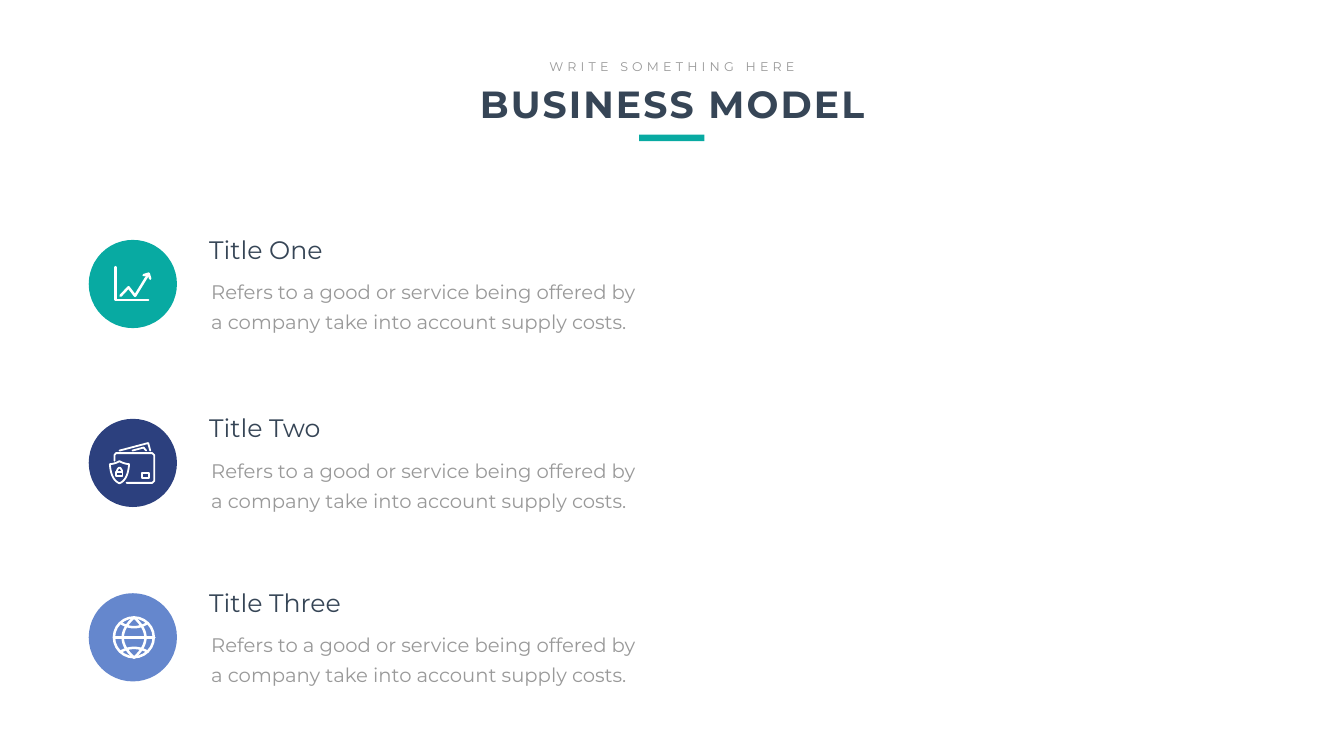
"""Build the Business Model slide: a heading and three topics with icons."""
from dataclasses import dataclass
from typing import Optional

from lxml import etree
from pptx import Presentation
from pptx.dml.color import RGBColor
from pptx.enum import shapes, text
from pptx.oxml import ns
from pptx.util import Inches, Pt

TEAL = RGBColor(0x08, 0xAA, 0xA2)
NAVY = RGBColor(0x2C, 0x40, 0x7E)
BLUE = RGBColor(0x65, 0x87, 0xCD)
SLATE = RGBColor(0x36, 0x45, 0x56)
GREY = RGBColor(0x99, 0x99, 0x99)
WHITE = RGBColor(0xFF, 0xFF, 0xFF)
FONT = "Montserrat"
BODY = "Refers to a good or service being offered by a company take into account supply costs."
CIRCLE_LEFT, CIRCLE_SIZE = 1.76, 1.75

Point = tuple[float, float]


@dataclass
class Stroke:
    points: list[Point]
    closed: bool = False


@dataclass
class Icon:
    weight: float
    strokes: list[Stroke]
    ring: Optional[tuple[float, float, float]] = None


@dataclass
class Topic:
    title: str
    top: float
    color: RGBColor
    icon: Icon


def curve(start: Point, control: Point, end: Point, steps: int = 16) -> list[Point]:
    """Return points along a quadratic curve."""
    ts = [i / steps for i in range(steps + 1)]
    return [
        tuple((1 - t) ** 2 * a + 2 * t * (1 - t) * b + t * t * c
              for a, b, c in zip(start, control, end))
        for t in ts
    ]


def box(left: float, top: float, right: float, bottom: float) -> Stroke:
    """Return a closed rectangular stroke."""
    return Stroke([(left, top), (right, top), (right, bottom), (left, bottom)], True)


CHART = Icon(3.6, [
    Stroke([(0.53, 0.54), (0.53, 1.19), (1.18, 1.19)]),
    Stroke([(0.63, 1.11), (0.79, 0.94), (0.92, 1.11), (1.19, 0.67)]),
    Stroke([(1.09, 0.70), (1.19, 0.67), (1.22, 0.77)]),
])
SHIELD = Stroke(
    curve((0.61, 0.84), (0.69, 0.89), (0.80, 0.90))
    + curve((0.80, 0.90), (0.78, 1.21), (0.61, 1.28))
    + curve((0.61, 1.28), (0.44, 1.21), (0.42, 0.90))
    + curve((0.42, 0.90), (0.53, 0.89), (0.61, 0.84)), True)
SHACKLE = Stroke([(0.56, 1.06), *curve((0.56, 1.03), (0.61, 0.91), (0.66, 1.03)), (0.66, 1.06)])
WALLET = Icon(2.6, [
    Stroke([(0.51, 0.83), (0.51, 0.72), (0.54, 0.68), (1.26, 0.68),
            (1.30, 0.72), (1.30, 1.23), (1.26, 1.27), (0.75, 1.27)]),
    Stroke([(0.61, 0.63), (1.18, 0.48), (1.22, 0.63)]),
    Stroke([(0.87, 0.63), (1.09, 0.57), (1.12, 0.61), (1.14, 0.63)]),
    box(1.05, 1.07, 1.20, 1.17),
    SHIELD,
    box(0.54, 1.06, 0.67, 1.14),
    SHACKLE,
])
GLOBE = Icon(3.6, [
    Stroke([(0.51, 0.88), (1.30, 0.88)]),
    *(Stroke(curve((0.90, 0.48), (x, 0.88), (0.90, 1.28))) for x in (0.45, 1.35)),
    *(Stroke(curve((0.63, y), (0.90, bend), (1.17, y)))
      for y, bend in ((0.59, 0.76), (1.16, 1.01))),
], ring=(0.50, 0.48, 0.79))

TOPICS = [
    Topic("Title One", 4.76, TEAL, CHART),
    Topic("Title Two", 8.31, NAVY, WALLET),
    Topic("Title Three", 11.77, BLUE, GLOBE),
]


def place(s, left: float, top: float, width: float, height: float) -> None:
    """Set position and size in inches."""
    s.left, s.top, s.width, s.height = map(Inches, (left, top, width, height))


def write(s, words: str, size: float, color: RGBColor, spacing: int = 0,
          align=text.PP_ALIGN.LEFT, bold: bool = False, wrap: bool = True,
          insets: Point = (0.1, 0.05), leading: Optional[float] = None) -> None:
    """Fill a shape with one formatted paragraph."""
    tf = s.text_frame
    x, y = map(Inches, insets)
    frame = {"word_wrap": wrap, "auto_size": text.MSO_AUTO_SIZE.NONE,
             "vertical_anchor": text.MSO_ANCHOR.TOP,
             "margin_left": x, "margin_right": x, "margin_top": y, "margin_bottom": y}
    for name, value in frame.items():
        setattr(tf, name, value)
    p = tf.paragraphs[0]
    p.alignment = align
    if leading:
        p.line_spacing = Pt(leading)
    r = p.add_run()
    r.text = words
    for name, value in {"name": FONT, "size": Pt(size), "bold": bold}.items():
        setattr(r.font, name, value)
    r.font.color.rgb = color
    if spacing:
        r.font._element.set("spc", str(spacing * 100))


def add_text(slide, at: tuple[float, float, float, float], *args, **kwargs) -> None:
    """Add a text box and write in it."""
    write(slide.shapes.add_textbox(*map(Inches, at)), *args, **kwargs)


def add_solid(slide, kind, at: tuple[float, float, float, float], color: RGBColor) -> None:
    """Add a filled shape without outline."""
    s = slide.shapes.add_shape(kind, *map(Inches, at))
    s.shadow.inherit = False
    s.fill.solid()
    s.fill.fore_color.rgb = color
    s.line.fill.background()


def style_line(s, weight: float) -> None:
    """Give a shape a white line with round caps and joins."""
    s.line.color.rgb = WHITE
    s.line.width = Pt(weight)
    ln = s._element.spPr.find(ns.qn("a:ln"))
    ln.set("cap", "rnd")
    etree.SubElement(ln, ns.qn("a:round"))


def draw_icon(slide, icon: Icon, left: float, top: float) -> None:
    """Draw the icon's strokes from the given corner."""
    if icon.ring:
        x, y, size = icon.ring
        s = slide.shapes.add_shape(shapes.MSO_SHAPE.OVAL, Inches(left + x), Inches(top + y),
                                   Inches(size), Inches(size))
        s.shadow.inherit = False
        s.fill.background()
        style_line(s, icon.weight)
    for stroke in icon.strokes:
        points = [(Inches(left + x), Inches(top + y)) for x, y in stroke.points]
        if len(points) == 2:
            s = slide.shapes.add_connector(shapes.MSO_CONNECTOR.STRAIGHT, *points[0], *points[1])
            style_line(s, icon.weight)
            etree.SubElement(s._element.spPr, ns.qn("a:effectLst"))
            continue
        builder = slide.shapes.build_freeform(*points[0])
        builder.add_line_segments(points[1:], close=stroke.closed)
        s = builder.convert_to_shape()
        s.shadow.inherit = False
        s.fill.background()
        style_line(s, icon.weight)


def draw_topic(slide, topic: Topic) -> None:
    """Draw one topic: circle, icon, title and description."""
    add_solid(slide, shapes.MSO_SHAPE.OVAL,
              (CIRCLE_LEFT, topic.top, CIRCLE_SIZE, CIRCLE_SIZE), topic.color)
    draw_icon(slide, topic.icon, CIRCLE_LEFT, topic.top)
    add_text(slide, (3.95, topic.top + 0.54, 9.03, 1.39), BODY, 28, GREY,
             insets=(0.24, 0.12), leading=43)
    add_text(slide, (4.05, topic.top - 0.17, 3.97, 0.71), topic.title, 36, SLATE)


def main() -> None:
    """Build and save the slide."""
    prs = Presentation()
    prs.slide_width, prs.slide_height = Inches(26.66), Inches(15)
    slide = prs.slides.add_slide(prs.slide_layouts[5])
    title = slide.shapes.title
    place(title, 8.52, 1.55, 9.63, 1.01)
    center = text.PP_ALIGN.CENTER
    write(title, "BUSINESS MODEL", 54, SLATE, spacing=3, align=center, bold=True)
    add_text(slide, (10.74, 1.12, 5.18, 0.4), "WRITE SOMETHING HERE", 18, GREY,
             spacing=6, align=center, wrap=False)
    add_solid(slide, shapes.MSO_SHAPE.RECTANGLE, (12.68, 2.67, 1.29, 0.13), TEAL)
    for topic in TOPICS:
        draw_topic(slide, topic)
    prs.save("out.pptx")


if __name__ == "__main__":
    main()
